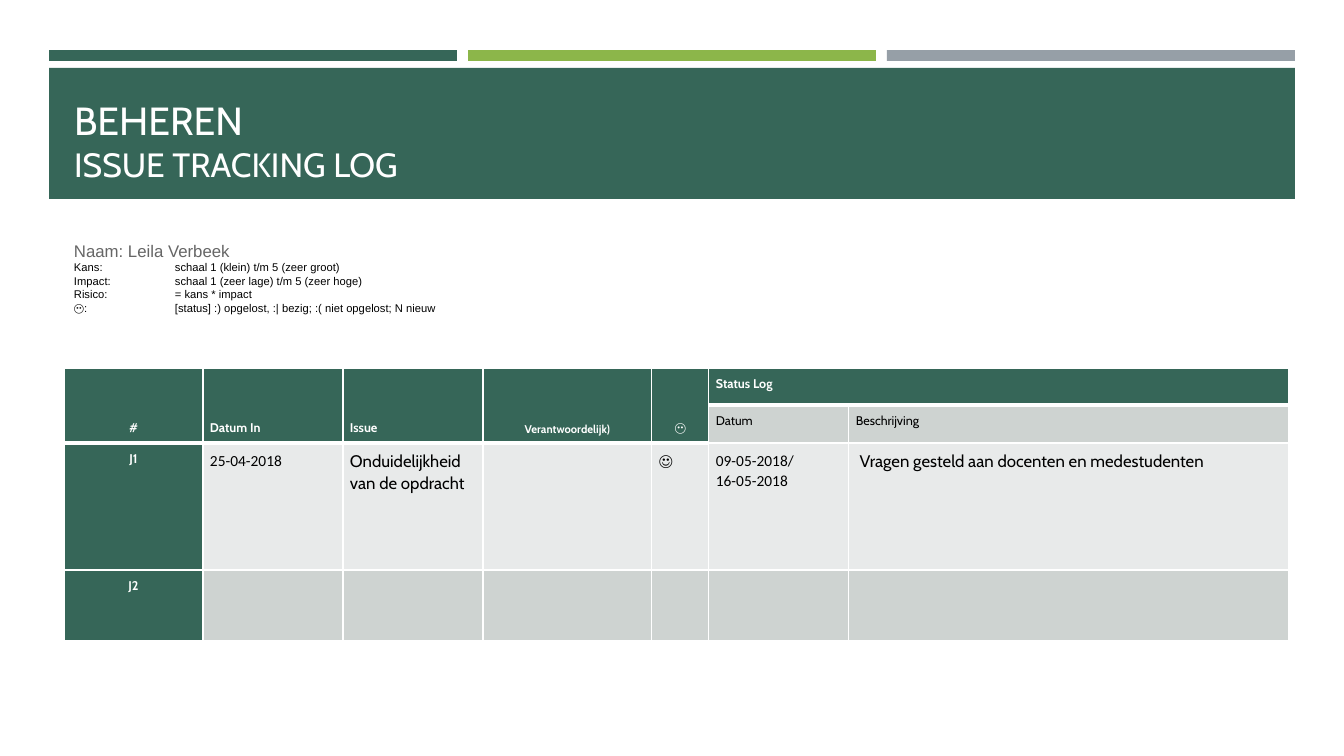
from itertools import product

from lxml.etree import SubElement
from pptx import Presentation
from pptx.dml.color import RGBColor
from pptx.enum.shapes import MSO_SHAPE
from pptx.enum.text import MSO_ANCHOR, MSO_AUTO_SIZE, PP_ALIGN
from pptx.oxml.ns import qn
from pptx.util import Emu, Pt

EMU_PER_PIXEL = 914400 / 100.8
GREEN = RGBColor(0x36, 0x66, 0x58)
LIME = RGBColor(0x8C, 0xB6, 0x4A)
GREY = RGBColor(0x96, 0x9F, 0xA7)
WHITE = RGBColor(0xFF, 0xFF, 0xFF)
BLACK = RGBColor(0, 0, 0)
NAME_GREY = RGBColor(0x66, 0x66, 0x66)
DARK_BAND = RGBColor(0xCE, 0xD3, 0xD1)
LIGHT_BAND = RGBColor(0xE8, 0xEA, 0xEA)

LEFT = 64
COLUMN_WIDTHS = [139, 140, 140, 169, 57, 140, 440]
ROW_HEIGHTS = [37, 38, 127, 71]
STATUS_COLUMN = 5
HEADERS = ["#", "Datum In", "Issue", "Verantwoordelijk)", "😶", "Status Log"]
CENTRED_HEADERS = {0, 3, 4}
ISSUE_CELLS = [
    (1, "25-04-2018", 11, "Calibri"),
    (2, "Onduidelijkheid van de opdracht", 12, "Cabin"),
    (4, "☺", 11, "Calibri"),
    (5, "09-05-2018/\n16-05-2018", 11, "Calibri"),
    (6, "\u00a0Vragen gesteld aan docenten en medestudenten", 12, "Cabin"),
]
LEGEND = [
    "Kans: \tschaal 1 (klein) t/m 5 (zeer groot)",
    "Impact: \tschaal 1 (zeer lage) t/m 5 (zeer hoge)",
    "Risico:\t= kans * impact",
]


def px(pixels):
    """Turn pixels into EMU."""
    return Emu(round(pixels * EMU_PER_PIXEL))


def set_font(font, size, name, color, bold=False):
    """Format a font."""
    font.size, font.name, font.bold = Pt(size), name, bold
    font.color.rgb = color


def add_bar(slide, left, top, width, height, color):
    """Add a plain filled rectangle."""
    bar = slide.shapes.add_shape(MSO_SHAPE.RECTANGLE, px(left), px(top), px(width), px(height))
    bar.shadow.inherit = False
    bar.fill.solid()
    bar.fill.fore_color.rgb = color
    bar.line.fill.background()


def add_title(slide):
    """Place the two-line title on top of its band."""
    title = slide.shapes.title
    title.left, title.top, title.width, title.height = px(LEFT), px(77), px(1216), px(112)
    frame = title.text_frame
    frame.auto_size = MSO_AUTO_SIZE.NONE
    frame.vertical_anchor = MSO_ANCHOR.BOTTOM
    frame.text = "BEHEREN\vISSUE TRACKING LOG"
    paragraph = frame.paragraphs[0]
    paragraph.alignment = PP_ALIGN.LEFT
    set_font(paragraph.font, 28, "Cabin", WHITE)
    paragraph.runs[1].font.size = Pt(24)
    slide.shapes._spTree.append(title._element)


def set_tab(paragraph, position):
    """Give a paragraph one left tab stop."""
    properties = paragraph._p.get_or_add_pPr()
    stops = SubElement(properties, qn("a:tabLst"))
    SubElement(stops, qn("a:tab"), pos=str(px(position)), algn="l")
    properties.insert(0, stops)


def add_legend(slide):
    """Add the name and the explanation of the scales."""
    frame = slide.shapes.add_textbox(px(LEFT), px(235), px(1216), px(85)).text_frame
    frame.word_wrap = True
    frame.vertical_anchor = MSO_ANCHOR.MIDDLE
    frame.text = "\n".join(["Naam: Leila Verbeek", *LEGEND])
    status = frame.add_paragraph()
    face = status.add_run()
    face.text = "😶"
    face.font.name = "Calibri"
    status.add_run().text = ":\t[status] :) opgelost, :| bezig; :( niet opgelost; N nieuw"
    name, *scales = frame.paragraphs
    set_font(name.font, 12, "Arial", NAME_GREY)
    for paragraph in scales:
        set_font(paragraph.font, 8, "Arial", BLACK)
        set_tab(paragraph, 101)


def line_below(row, column):
    """Give the width of the rule below a cell."""
    return 3 if row == 0 or (row == 1 and column < STATUS_COLUMN) else 1


def set_borders(cell, row, column):
    """Draw white rules around a cell."""
    top = line_below(row - 1, column) if row else 1
    widths = {"L": 1, "R": 1, "T": top, "B": line_below(row, column)}
    properties = cell._tc.get_or_add_tcPr()
    for side, width in widths.items():
        line = SubElement(properties, qn(f"a:ln{side}"), w=str(Pt(width)))
        fill = SubElement(line, qn("a:solidFill"))
        SubElement(fill, qn("a:srgbClr"), val=str(WHITE))


def cell_color(row, column):
    """Choose the fill of a cell by its place."""
    is_header = row == 0 or column == 0 or (row == 1 and column < STATUS_COLUMN)
    if is_header:
        return GREEN
    return LIGHT_BAND if row == 2 else DARK_BAND


def write_cell(cell, text, size=9, name="Cabin", color=BLACK, bold=False, centred=False):
    """Write formatted text in a cell."""
    cell.text = text
    for paragraph in cell.text_frame.paragraphs:
        paragraph.line_spacing = 1.07
        paragraph.alignment = PP_ALIGN.CENTER if centred else PP_ALIGN.LEFT
        set_font(paragraph.font, size, name, color, bold)


def add_issue_table(slide):
    """Add the issue log with its two-level header."""
    rows, columns = len(ROW_HEIGHTS), len(COLUMN_WIDTHS)
    table = slide.shapes.add_table(
        rows, columns, px(LEFT), px(368), px(sum(COLUMN_WIDTHS)), px(sum(ROW_HEIGHTS))
    ).table
    table.horz_banding = False
    for column, width in zip(table.columns, COLUMN_WIDTHS):
        column.width = px(width)
    for row, height in zip(table.rows, ROW_HEIGHTS):
        row.height = px(height)
    for row, column in product(range(rows), range(columns)):
        cell = table.cell(row, column)
        set_borders(cell, row, column)
        cell.fill.solid()
        cell.fill.fore_color.rgb = cell_color(row, column)
        cell.margin_left = cell.margin_right = px(7)
        cell.margin_top = cell.margin_bottom = px(7)

    for column, header in enumerate(HEADERS):
        cell = table.cell(0, column)
        size = 8 if header == "Verantwoordelijk)" else 9
        write_cell(cell, header, size, color=WHITE, bold=True, centred=column in CENTRED_HEADERS)
        if column < STATUS_COLUMN:
            cell.vertical_anchor = MSO_ANCHOR.BOTTOM
            cell.merge(table.cell(1, column))
    table.cell(0, STATUS_COLUMN).merge(table.cell(0, columns - 1))

    for column, header in enumerate(["Datum", "Beschrijving"], STATUS_COLUMN):
        write_cell(table.cell(1, column), header)
    for row, number in enumerate(["J1", "J2"], 2):
        write_cell(table.cell(row, 0), number, color=WHITE, bold=True, centred=True)
    for column, text, size, name in ISSUE_CELLS:
        write_cell(table.cell(2, column), text, size, name)


def main():
    """Build the issue tracking slide."""
    presentation = Presentation()
    presentation.slide_width, presentation.slide_height = px(1344), px(756)
    slide = presentation.slides.add_slide(presentation.slide_layouts[5])
    for index, color in enumerate([GREEN, LIME, GREY]):
        add_bar(slide, 49 + index * 419, 50, 408, 11, color)
    add_bar(slide, 49, 68, 1246, 131, GREEN)
    add_title(slide)
    add_issue_table(slide)
    add_legend(slide)
    presentation.save("out.pptx")


main()
